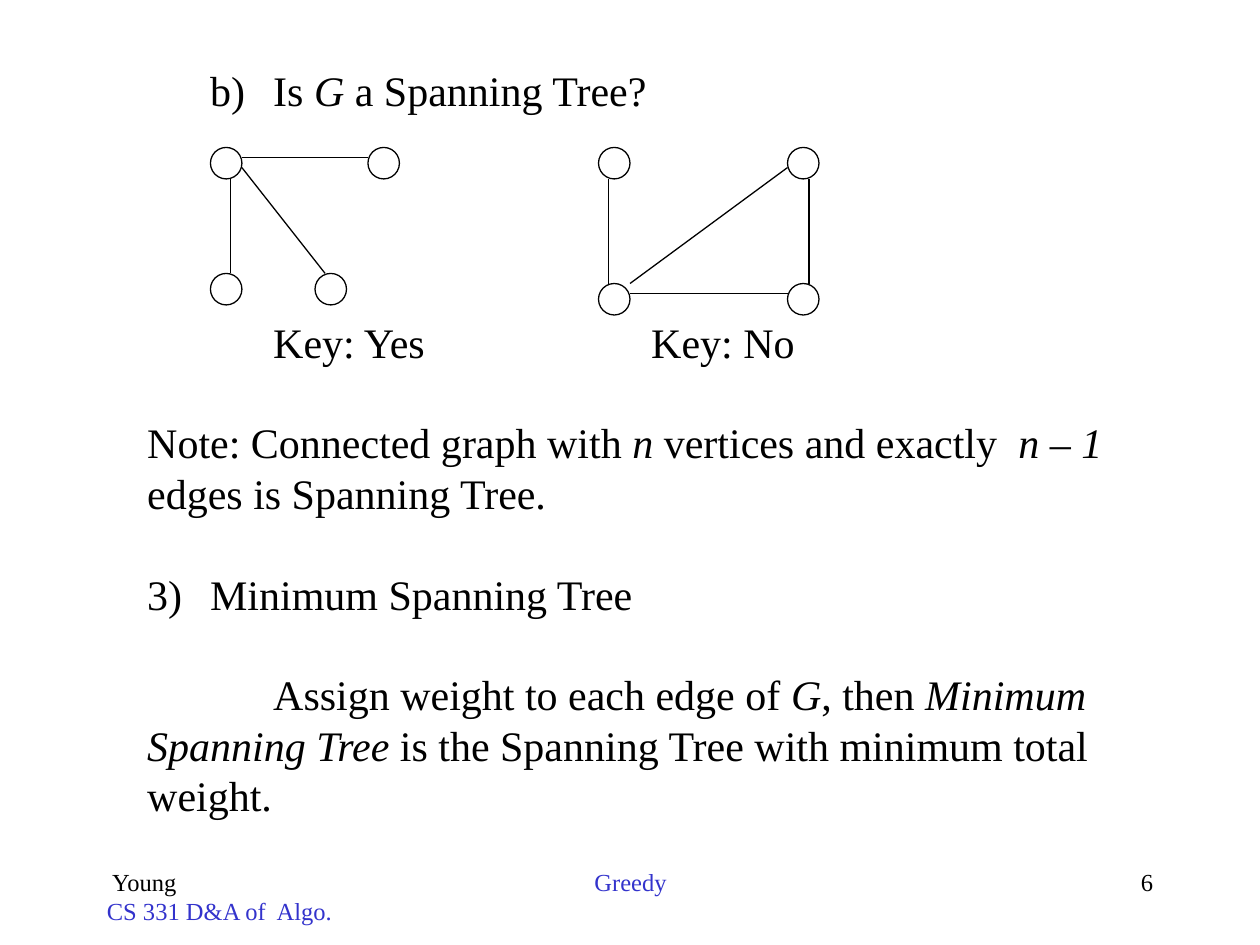
from dataclasses import dataclass

from lxml.etree import SubElement
from pptx import Presentation
from pptx.dml.color import RGBColor
from pptx.enum.shapes import MSO_CONNECTOR as Connector, MSO_SHAPE as Shape
from pptx.enum.text import MSO_ANCHOR as Anchor, PP_ALIGN as Align
from pptx.oxml.ns import qn
from pptx.util import Inches, Pt


@dataclass(frozen=True)
class Theme:
    font: str = "Times New Roman"
    black: RGBColor = RGBColor(0x00, 0x00, 0x00)
    blue: RGBColor = RGBColor(0x33, 0x33, 0xCC)
    body_size: float = 24
    footer_size: float = 14
    line_height: float = 1.2
    line_width: float = 0.75


theme = Theme()
body_line = theme.body_size * theme.line_height


def add_text_box(left, top, width, height):
    shape = slide.shapes.add_textbox(Inches(left), Inches(top), Inches(width), Inches(height))
    shape.text_frame.word_wrap = True
    shape.text_frame.vertical_anchor = Anchor.TOP
    return shape.text_frame


def write(frame, text, size=theme.body_size, color=theme.black, align=Align.LEFT,
          level=0, margin=0, indent=0, before=0, number=None):
    """Add a paragraph; words between asterisks are italic, number is (style, start)."""
    paragraph = frame.paragraphs[0]
    if paragraph.runs:
        paragraph = frame.add_paragraph()
    paragraph.alignment = align
    paragraph.level = level
    paragraph.line_spacing = Pt(size * theme.line_height)
    paragraph.space_before = Pt(before)
    properties = paragraph._p.get_or_add_pPr()
    properties.set("marL", str(Inches(margin)))
    properties.set("indent", str(Inches(indent)))
    if number:
        style, start = number
        SubElement(properties, qn("a:buFont"), typeface=theme.font)
        SubElement(properties, qn("a:buAutoNum"), type=style, startAt=str(start))
    for index, piece in enumerate(text.split("*")):
        if piece:
            run = paragraph.add_run()
            run.text = piece
            run.font.name = theme.font
            run.font.size = Pt(size)
            run.font.italic = index % 2 == 1
            run.font.color.rgb = color


presentation = Presentation()
presentation.slide_width, presentation.slide_height = Inches(10), Inches(7.5)
slide = presentation.slides.add_slide(presentation.slide_layouts[6])

# Footer
course = add_text_box(0.75, 6.83, 2.08, 0.5)
write(course, " Young", size=theme.footer_size)
write(course, "CS 331 D&A of  Algo.", size=theme.footer_size, color=theme.blue)
topic = add_text_box(3.42, 6.83, 3.17, 0.5)
write(topic, "Greedy", size=theme.footer_size, color=theme.blue, align=Align.CENTER)
page = add_text_box(7.17, 6.83, 2.08, 0.5)
write(page, "6", size=theme.footer_size, align=Align.RIGHT)

# Body text, with room for the graphs and their keys
body = add_text_box(0.57, 0.46, 8.77, 6.5)
write(body, "Is *G* a Spanning Tree?", level=2, margin=1.5, indent=-0.5,
      number=("alphaLcParenR", 2))
write(body, "Note: Connected graph with *n* vertices and exactly  *n – 1 *edges is Spanning Tree.",
      margin=0.5, before=6 * body_line)
write(body, "Minimum Spanning Tree", level=1, margin=1, indent=-0.5,
      before=body_line, number=("arabicParenR", 3))
write(body, "Assign weight to each edge of *G*, then *Minimum Spanning Tree* is the "
      "Spanning Tree with minimum total weight.", margin=0.5, indent=1, before=body_line)

# Graphs: key with its left edge, top-left corners of the vertices, end points of the edges
vertex_size = 0.25
tree = (
    "Key: Yes", 2.07,
    [(1.67, 1.17), (2.92, 1.17), (1.67, 2.17), (2.5, 2.17)],
    [(1.92, 1.25, 2.92, 1.25), (1.83, 1.42, 1.83, 2.17), (1.92, 1.33, 2.58, 2.17)],
)
cyclic_graph = (
    "Key: No", 5.07,
    [(4.75, 1.17), (4.75, 2.25), (6.25, 2.25), (6.25, 1.17)],
    [(4.83, 1.42, 4.83, 2.25), (5, 2.33, 6.25, 2.33),
     (6.42, 2.25, 6.42, 1.42), (5, 2.25, 6.25, 1.33)],
)
for key, key_left, vertices, edges in (tree, cyclic_graph):
    write(add_text_box(key_left, 2.46, 2, 0.5), key)
    for left, top in vertices:
        vertex = slide.shapes.add_shape(Shape.OVAL, Inches(left), Inches(top),
                                        Inches(vertex_size), Inches(vertex_size))
        vertex.shadow.inherit = False
        vertex.fill.background()
        vertex.line.color.rgb = theme.black
        vertex.line.width = Pt(theme.line_width)
    for ends in edges:
        edge = slide.shapes.add_connector(Connector.STRAIGHT, *map(Inches, ends))
        edge.line.color.rgb = theme.black
        edge.line.width = Pt(theme.line_width)
        SubElement(edge._element.spPr, qn("a:effectLst"))

presentation.save("out.pptx")
